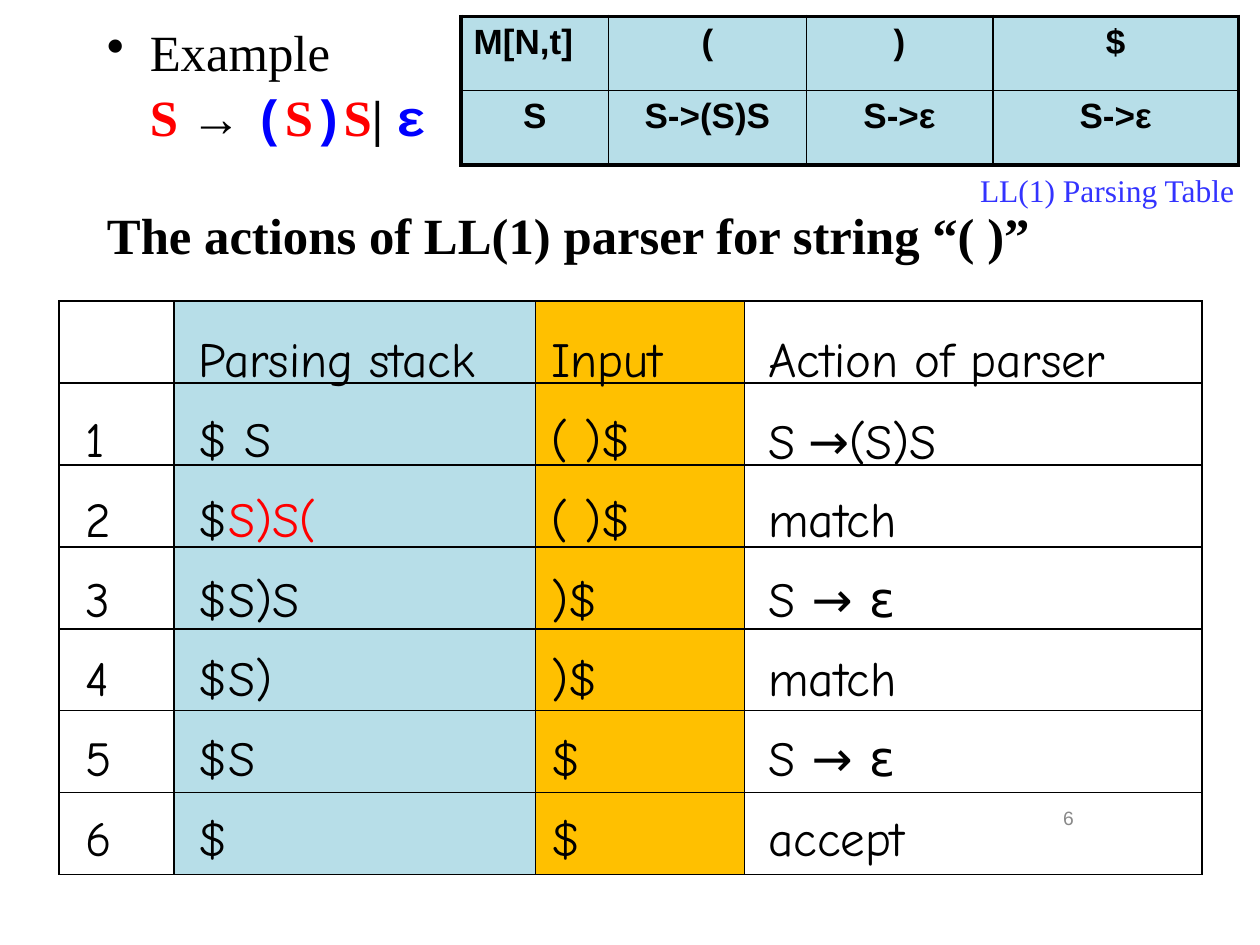
"""Build the slide tracing an LL(1) parser on the string "( )"."""
import pptx
import pptx.util
import pptx.dml.color
import pptx.enum.text
import pptx.oxml
import pptx.oxml.ns
import lxml.etree

Inches, Pt = pptx.util.Inches, pptx.util.Pt
paint = pptx.dml.color.RGBColor.from_string
align = pptx.enum.text.PP_ALIGN
anchor = pptx.enum.text.MSO_ANCHOR

BLACK, RED, BLUE, SKY, GOLD = "000000", "FF0000", "0000FF", "B7DEE8", "FFC000"
SERIF = {"name": "Times New Roman", "size": Pt(29)}
COMIC = {"name": "Comic Neue", "size": Pt(28), "bold": False}
ARIAL = {"name": "Arial", "size": Pt(20), "bold": True}


def place(left, top, width, height, wrap=True):
    box = slide.shapes.add_textbox(*map(Inches, (left, top, width, height)))
    box.text_frame.word_wrap = wrap
    return box.text_frame


def write(para, spans, font):
    for text, color, changes in spans:
        span = para.add_run()
        span.text = text
        span.font.color.rgb = paint(color)
        for name, value in {**font, **changes}.items():
            setattr(span.font, name, value)


deck = pptx.Presentation()
deck.slide_width, deck.slide_height = Inches(10), Inches(7.5)
slide = deck.slides.add_slide(deck.slide_layouts[6])

trace_fills = [None, SKY, GOLD, None]
parsing_rows = [["M[N,t]", "(", ")", "$"], ["S", "S->(S)S", "S->ε", "S->ε"]]
tables = [
    (0.47, 2.39, [0.91, 2.87, 1.66, 3.63], 0.65, trace_fills, 1, [[""] * 4] * 7),
    (3.66, 0.13, [1.17, 1.57, 1.48, 1.95], 0.59, [SKY] * 4, 2.25, parsing_rows),
]
for left, top, widths, height, fills, outline, rows in tables:
    frame = slide.shapes.add_table(
        len(rows), len(widths), Inches(left), Inches(top),
        Inches(sum(widths)), Inches(height * len(rows)))
    table = frame.table
    table.first_row = table.horz_banding = False
    for column, width in zip(table.columns, widths):
        column.width = Inches(width)
    for r, row in enumerate(rows):
        table.rows[r].height = Inches(height)
        for c, text in enumerate(row):
            cell = table.cell(r, c)
            outer = {"lnL": c == 0, "lnR": c == len(widths) - 1,
                     "lnT": r == 0, "lnB": r == len(rows) - 1}
            for side, is_outer in outer.items():
                line = lxml.etree.SubElement(
                    cell._tc.get_or_add_tcPr(), pptx.oxml.ns.qn("a:" + side),
                    w=str(Pt(outline if is_outer else 1)))
                fill = lxml.etree.SubElement(line, pptx.oxml.ns.qn("a:solidFill"))
                lxml.etree.SubElement(fill, pptx.oxml.ns.qn("a:srgbClr"), val=BLACK)
            if fills[c]:
                cell.fill.solid()
                cell.fill.fore_color.rgb = paint(fills[c])
            else:
                cell.fill.background()
            if text:
                para = cell.text_frame.paragraphs[0]
                para.alignment = align.LEFT if r == c == 0 else align.CENTER
                write(para, [(text, BLACK, {})], ARIAL)

bold, mono = {"bold": True}, {"name": "Courier New", "bold": True}
body_lines = [
    ([("Example", BLACK, {})], 0.34, -0.34, 0),
    ([("S", RED, bold), (" → ", BLACK, bold), ("(", BLUE, mono), ("S", RED, bold),
      (")", BLUE, mono), ("S", RED, bold), ("| ", BLACK, bold), ("ε", BLUE, mono)],
     0.34, 0, 5.8),
    ([("The actions of LL(1) parser for string “( )”", BLACK, bold)], 0, 0, 36),
]
body = place(0.75, 0.17, 8.92, 2.17)
for index, (spans, margin, indent, space) in enumerate(body_lines):
    para = body.add_paragraph() if index else body.paragraphs[0]
    para.line_spacing = 0.9
    para.space_before = Pt(space)
    props = para._p.get_or_add_pPr()
    props.set("marL", str(Inches(margin)))
    props.set("indent", str(Inches(indent)))
    if indent:
        lxml.etree.SubElement(props, pptx.oxml.ns.qn("a:buChar"), char="•")
    write(para, spans, SERIF)

steps = [
    ["", "Parsing stack", "Input", "Action of parser"],
    ["1", "$ S", "( )$", "S| |→(S)S"],
    ["2", "$|S)S(", "( )$", "match"],
    ["3", "$S)S", ")$", "S → ε"],
    ["4", "$S)", ")$", "match"],
    ["5", "$S", "$", "S → ε"],
    ["6", "$", "$", "accept"],
]
special = {"S)S(": (RED, {}), " ": (BLACK, {**SERIF, **bold})}
step_widths, step_height = [0.9, 2.8, 1.72, 3.58], 0.63
for r, step in enumerate(steps):
    for c, text in enumerate(step):
        if text:
            box = place(0.58 + sum(step_widths[:c]), 2.56 + r * 3.8 / 6,
                        step_widths[c], step_height)
            spans = [(part, *special.get(part, (BLACK, {}))) for part in text.split("|")]
            write(box.paragraphs[0], spans, COMIC)

number = place(6.5, 6.31, 2.12, 0.36)
number.vertical_anchor = anchor.MIDDLE
number.paragraphs[0].alignment = align.RIGHT
write(number.paragraphs[0], [("6", "898989", {})], {"name": "Arial", "size": Pt(11)})

caption = place(7.68, 1.31, 2.24, 0.4, wrap=False)
write(caption.paragraphs[0], [("LL(1) Parsing Table", "3333FF", {"size": Pt(18)})], SERIF)

deck.save("out.pptx")
